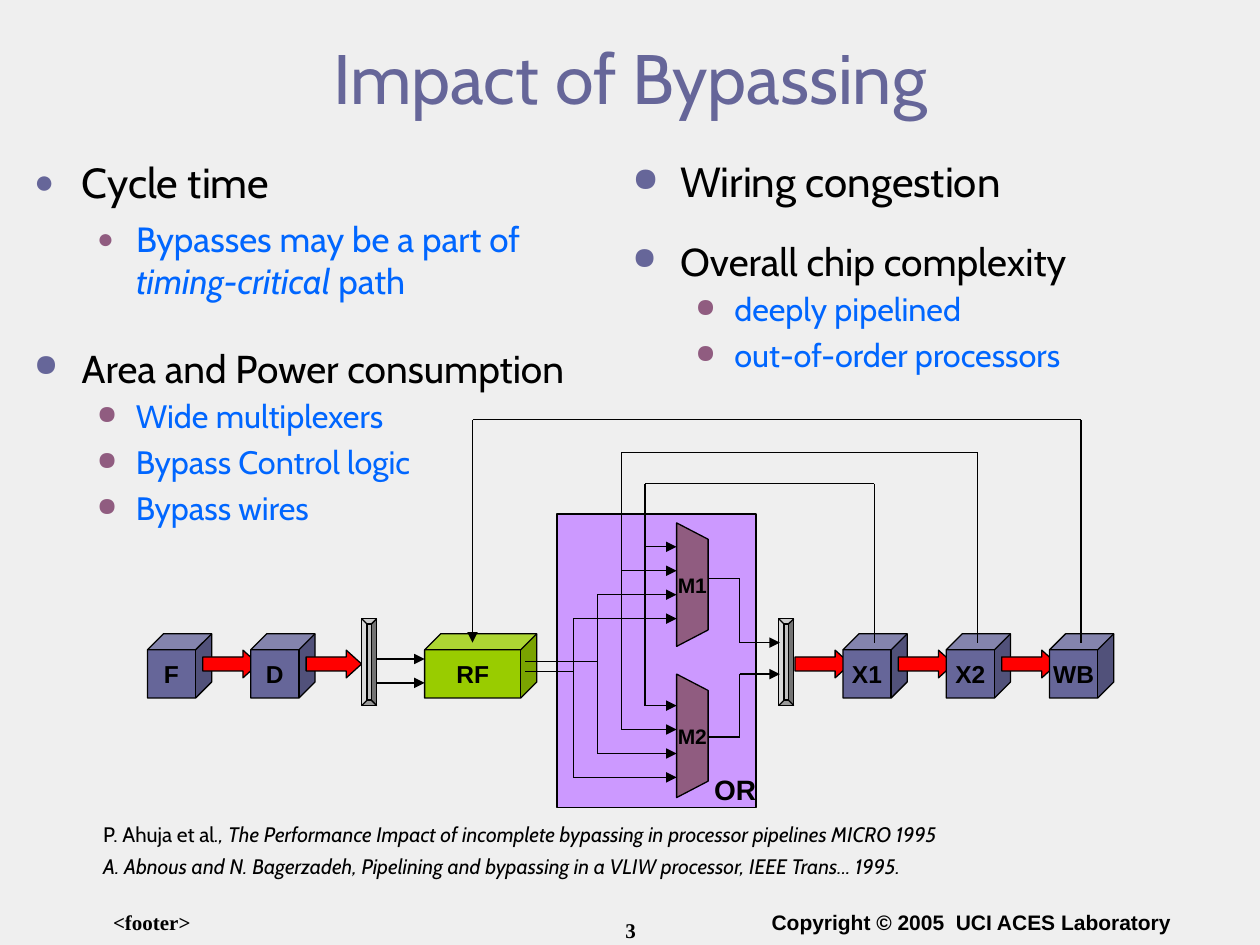
from dataclasses import dataclass

from lxml import etree
from pptx import Presentation
from pptx.dml.color import RGBColor
from pptx.enum.shapes import MSO_CONNECTOR, MSO_SHAPE
from pptx.enum.text import MSO_ANCHOR, MSO_AUTO_SIZE, PP_ALIGN
from pptx.oxml.ns import qn
from pptx.util import Inches, Pt

CUBE, ARROW, BEVEL, RECTANGLE = MSO_SHAPE.CUBE, MSO_SHAPE.RIGHT_ARROW, MSO_SHAPE.BEVEL, MSO_SHAPE.RECTANGLE
STRAIGHT = MSO_CONNECTOR.STRAIGHT
TOP, MIDDLE = MSO_ANCHOR.TOP, MSO_ANCHOR.MIDDLE
LEFT, CENTER = PP_ALIGN.LEFT, PP_ALIGN.CENTER
NO_AUTOFIT = MSO_AUTO_SIZE.NONE


@dataclass(frozen=True)
class Theme:
    """Colours, fonts and type sizes of the deck."""
    background: str = "EFEFEF"
    ink: str = "000000"
    slate: str = "666699"
    plum: str = "905C80"
    blue: str = "0066FF"
    lilac: str = "CC99FF"
    green: str = "99CC00"
    red: str = "FF0000"
    silver: str = "C0C0C0"
    body_font: str = "Cabin"
    label_font: str = "Arial"
    serif_font: str = "Times New Roman"
    title_size: float = 40
    small_size: float = 12
    stage_size: float = 14
    group_size: float = 16
    line_width: float = 0.75


THEME = Theme()


@dataclass(frozen=True)
class Box:
    """A region in inches."""
    left: float
    top: float
    width: float
    height: float

    def inside(self, x, y, width, height):
        """Return a box placed relative to this one."""
        return Box(self.left + x, self.top + y, width, height)

    def point(self, x, y):
        """Return a slide position for a point relative to this box."""
        return Inches(self.left + x), Inches(self.top + y)

    def frame(self):
        """Return left, top, width and height as lengths."""
        return [Inches(value) for value in (self.left, self.top, self.width, self.height)]


def apply(target, formats):
    """Set each attribute named in a dict of format values."""
    for name, value in formats.items():
        setattr(target, name, value)


def add_span(para, text, size, color, name, bold=False, italic=False):
    """Add one formatted run to a paragraph."""
    span = para.add_run()
    span.text = text
    apply(span.font, {"size": Pt(size), "name": name, "bold": bold, "italic": italic})
    span.font.color.rgb = RGBColor.from_string(color)


def indent(para, margin, hanging):
    """Give a paragraph a left margin and a hanging first line."""
    properties = para._p.get_or_add_pPr()
    properties.set("marL", str(Inches(margin)))
    properties.set("indent", str(-Inches(hanging)))
    return properties


def add_bullet(para, margin, hanging, color):
    """Give a paragraph a coloured round bullet."""
    properties = indent(para, margin, hanging)
    tint = etree.SubElement(properties, qn("a:buClr"))
    etree.SubElement(tint, qn("a:srgbClr"), val=color)
    etree.SubElement(properties, qn("a:buSzPct"), val="80000")
    etree.SubElement(properties, qn("a:buChar"), char="●")


def add_label(page, box, text, size, name):
    """Add a centred bold caption."""
    frame = page.shapes.add_textbox(*box.frame()).text_frame
    frame.word_wrap = True
    para = frame.paragraphs[0]
    para.alignment = CENTER
    add_span(para, text, size, THEME.ink, name, bold=True)


def draw_title(page, box, text):
    """Fill and place the title placeholder."""
    title = page.shapes.title
    apply(title, dict(zip(("left", "top", "width", "height"), box.frame())))
    apply(title.text_frame, {"vertical_anchor": MIDDLE, "auto_size": NO_AUTOFIT})
    para = title.text_frame.paragraphs[0]
    apply(para, {"alignment": CENTER, "line_spacing": 0.85})
    add_span(para, text, THEME.title_size, THEME.slate, THEME.body_font)


def draw_list(shape, heading, items, sizes, spacings):
    """Write a bulleted heading with sub-items given as lists of text and italic pairs."""
    frame = shape.text_frame
    apply(frame, {"word_wrap": True, "auto_size": NO_AUTOFIT, "vertical_anchor": TOP})
    for number, spans in enumerate([[(heading, False)], *items]):
        level = min(number, 1)
        para = frame.add_paragraph() if number else frame.paragraphs[0]
        margin, hanging, bullet, color = (
            (0.81, 0.31, THEME.plum, THEME.blue) if level else (0.38, 0.38, THEME.slate, THEME.ink))
        add_bullet(para, margin, hanging, bullet)
        apply(para, {"level": level, "alignment": LEFT, "line_spacing": spacings[level],
                     "space_before": Pt(6.2 * level)})
        for text, italic in spans:
            add_span(para, text, sizes[level], color, THEME.body_font, italic=italic)


def draw_lists(page, box):
    """Place the four lists in two columns."""
    large, compact = ((24, 20), (0.85, 1.0)), ((22.2, 18.5), (0.75, 0.9))
    body = page.placeholders[1]
    apply(body, dict(zip(("left", "top", "width", "height"), box.inside(0, 0, 4.33, 1.31).frame())))
    draw_list(body, "Cycle time", [[("Bypasses may be a part of ", False),
                                    ("timing-critical", True), (" path", False)]], *large)
    lists = [
        (box.inside(0, 1.52, 4.92, 1.73), "Area and Power consumption",
         ["Wide multiplexers", "Bypass Control logic", "Bypass wires"], compact),
        (box.inside(4.75, 0, 4, 0.58), "Wiring congestion", [], large),
        (box.inside(4.75, 0.67, 4.92, 1.17), "Overall chip complexity",
         ["deeply pipelined", "out-of-order processors"], compact),
    ]
    for place, heading, items, style in lists:
        shape = page.shapes.add_textbox(*place.frame())
        draw_list(shape, heading, [[(item, False)] for item in items], *style)


def finish(shape, fill, text="", size=THEME.stage_size):
    """Give a shape its fill, outline and centred label."""
    shape.shadow.inherit = False
    shape.fill.solid()
    shape.fill.fore_color.rgb = RGBColor.from_string(fill)
    shape.line.color.rgb = RGBColor.from_string(THEME.ink)
    shape.line.width = Pt(THEME.line_width)
    if text:
        apply(shape.text_frame, {"word_wrap": False, "vertical_anchor": MIDDLE})
        para = shape.text_frame.paragraphs[0]
        para.alignment = CENTER
        add_span(para, text, size, THEME.ink, THEME.label_font, bold=True)


def add_block(page, kind, box, fill, text="", adjustments=()):
    """Add a preset shape with its adjustments."""
    shape = page.shapes.add_shape(kind, *box.frame())
    for index, value in enumerate(adjustments):
        shape.adjustments[index] = value
    finish(shape, fill, text)


def add_wire(page, box, points, arrow=False):
    """Join points with straight connectors, the last one with an optional arrowhead."""
    for number, (start, end) in enumerate(zip(points, points[1:]), 2):
        wire = page.shapes.add_connector(STRAIGHT, *box.point(*start), *box.point(*end))
        wire.line.color.rgb = RGBColor.from_string(THEME.ink)
        wire.line.width = Pt(THEME.line_width)
        properties = wire._element.spPr
        if arrow and number == len(points):
            etree.SubElement(properties.find(qn("a:ln")), qn("a:tailEnd"), type="triangle")
        etree.SubElement(properties, qn("a:effectLst"))


def draw_stages(page, box):
    """Draw the pipeline stages, the arrows between them and the latches."""
    pitch, front, back = 0.82, 0, 5.52
    stages = [("F", front, True), ("D", front + pitch, True), ("X1", back, True),
              ("X2", back + pitch, True), ("WB", back + 2 * pitch, False)]
    arrow = (THEME.red, "", (0.504, 0.552))
    add_block(page, ARROW, box.inside(5.14, 0.25, 0.44, 0.22), *arrow)
    for name, x, forwards in stages:
        add_block(page, CUBE, box.inside(x, 0.12, 0.51, 0.51), THEME.slate, name)
        if forwards and name != "D":
            add_block(page, ARROW, box.inside(x + 0.44, 0.25, 0.44, 0.22), *arrow)
    add_block(page, ARROW, box.inside(1.26, 0.25, 0.44, 0.22), *arrow)
    for x in (1.7, 5.01):
        add_block(page, BEVEL, box.inside(x, 0, 0.12, 0.69), THEME.silver, "", (0.361,))
    add_block(page, CUBE, box.inside(2.2, 0.12, 0.89, 0.51), THEME.green, "RF")
    for y in (0.32, 0.51):
        add_wire(page, box, [(1.82, y), (2.2, y)], arrow=True)


def add_mux(page, box, name):
    """Draw a multiplexer narrowing to the right."""
    builder = page.shapes.build_freeform(*box.point(0, box.height))
    corners = [(0, 0), (box.width, 0.13), (box.width, box.height - 0.13)]
    builder.add_line_segments([box.point(*corner) for corner in corners], close=True)
    finish(builder.convert_to_shape(), THEME.plum, name, THEME.small_size)


def draw_bypass(page, box):
    """Draw the multiplexers and the wires that feed them."""
    mux_left, mux_right, pitch = 0.95, 1.2, 0.19
    for name, y in (("M1", 0.07), ("M2", 1.27)):
        add_mux(page, box.inside(mux_left, y, 0.25, 0.98), name)
    for column in range(4):
        x, upper, lower = 0.7 - pitch * column, 0.26 + pitch * column, 1.52 + pitch * column
        if column < 2:
            stage, top = 2.52 + 0.82 * column, -0.24 - 0.25 * column
            add_wire(page, box, [(stage, 1.02), (stage, top), (x, top), (x, lower), (mux_left, lower)], arrow=True)
        else:
            add_wire(page, box, [(x, upper), (x, lower), (mux_left, lower)], arrow=True)
            read = 1.17 + 0.08 * (column - 2)
            add_wire(page, box, [(x, read), (-0.25, read)])
        add_wire(page, box, [(x, upper), (mux_left, upper)], arrow=True)
    for output, latch in ((0.51, 1.02), (1.77, 1.27)):
        add_wire(page, box, [(mux_right, output), (1.45, output), (1.45, latch), (1.77, latch)], arrow=True)
    add_wire(page, box, [(4.16, 1.02), (4.16, -0.75), (-0.67, -0.75), (-0.67, 1.02)], arrow=True)
    add_label(page, box.inside(1.08, 2, 0.67, 0.37), "OR", THEME.group_size, THEME.label_font)


def draw_references(page, box):
    """Write the two literature references."""
    frame = page.shapes.add_textbox(*box.frame()).text_frame
    frame.word_wrap = True
    references = [
        [("P. Ahuja et al", False),
         ("., The Performance Impact of incomplete bypassing in processor pipelines MICRO 1995", True)],
        [("A. Abnous and N. Bagerzadeh, Pipelining and bypassing in a VLIW processor, IEEE Trans... 1995.", True)],
    ]
    for number, spans in enumerate(references):
        para = frame.add_paragraph() if number else frame.paragraphs[0]
        indent(para, 0.38, 0.38)
        apply(para, {"line_spacing": 0.85, "space_before": Pt(6 * number)})
        for text, italic in spans:
            add_span(para, text, THEME.small_size, THEME.ink, THEME.body_font, italic=italic)


def draw_footer(page, box):
    """Place the footer, slide number and copyright line."""
    add_label(page, box.inside(0, 0, 1.75, 0.33), "<footer>", THEME.small_size, THEME.serif_font)
    add_label(page, box.inside(3.43, 0.06, 2.49, 0.3), "3", THEME.small_size, THEME.serif_font)
    add_label(page, box.inside(5.67, 0, 3.42, 0.33), "Copyright © 2005  UCI ACES Laboratory",
              THEME.small_size, THEME.label_font)


def main():
    """Build and save the deck."""
    deck = Presentation()
    apply(deck, {"slide_width": Inches(10), "slide_height": Inches(7.5)})
    page = deck.slides.add_slide(deck.slide_layouts[1])
    page.background.fill.solid()
    page.background.fill.fore_color.rgb = RGBColor.from_string(THEME.background)
    bypass = Box(4.42, 4.08, 1.58, 2.33)
    add_block(page, RECTANGLE, bypass, THEME.lilac)
    draw_title(page, Box(0.5, 0.3, 9, 0.72), "Impact of Bypassing")
    draw_lists(page, Box(0.17, 1.25, 9.67, 3.25))
    draw_stages(page, Box(1.17, 4.91, 7.67, 0.69))
    draw_bypass(page, bypass)
    draw_references(page, Box(0.72, 6.5, 9.01, 0.6))
    draw_footer(page, Box(0.33, 7.17, 9.09, 0.33))
    deck.save("out.pptx")


if __name__ == "__main__":
    main()
